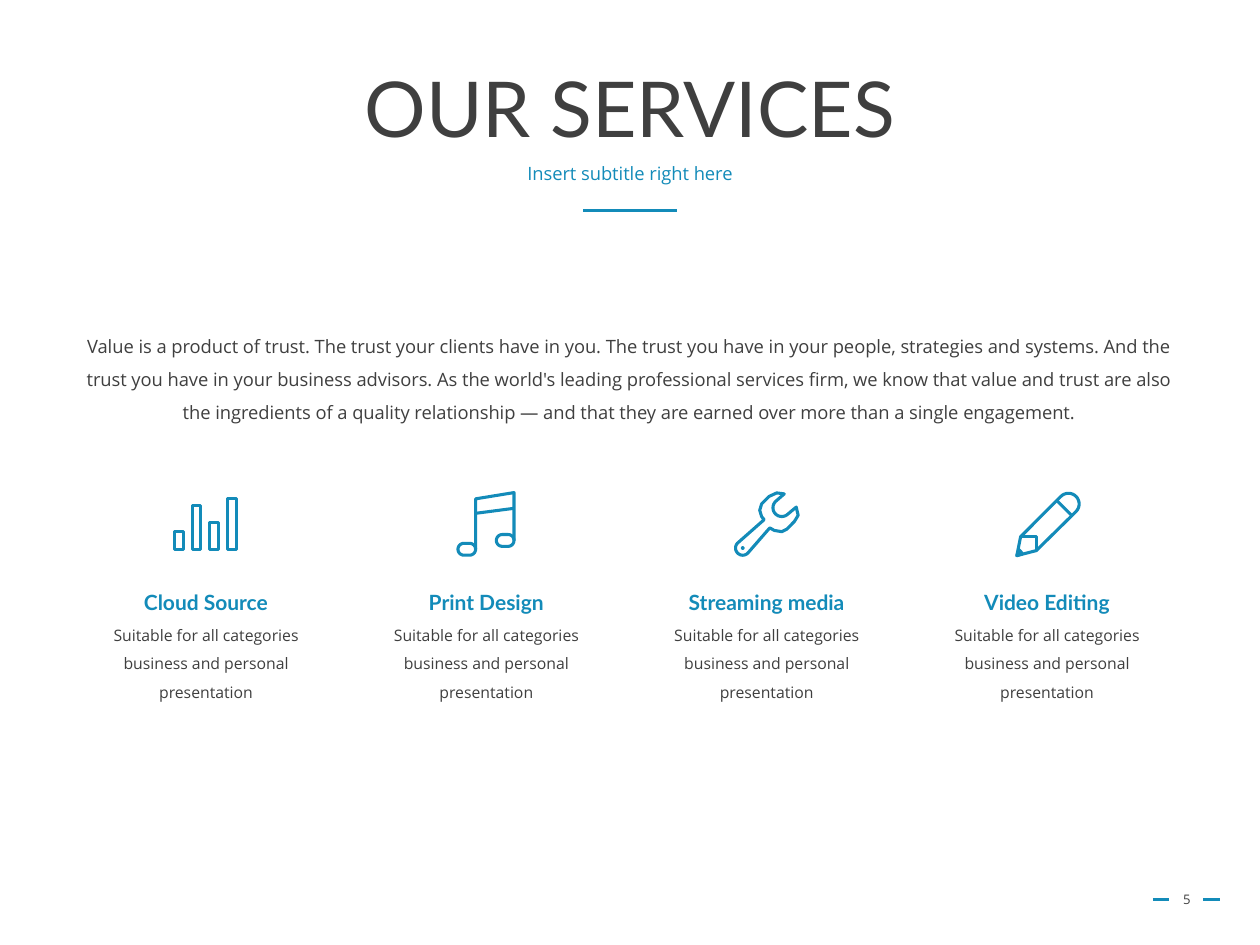
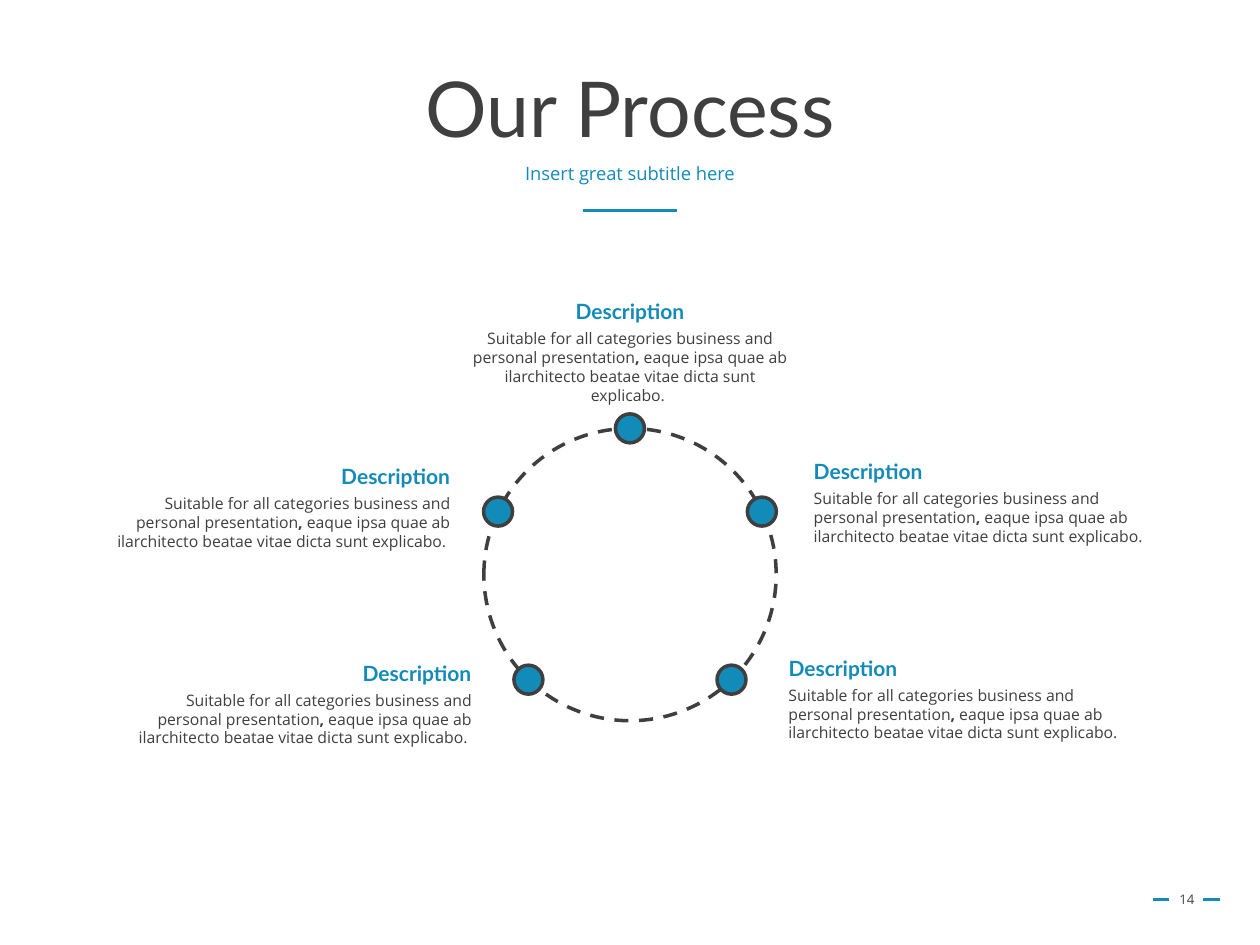
"""Two slides: a row of four services and a five-step process ring."""
import math

from lxml import etree
from pptx import Presentation
from pptx import util as u
from pptx.dml.color import RGBColor
from pptx.enum import dml, shapes, text
from pptx.oxml import ns

Inches, Pt = u.Inches, u.Pt
COLOURS = {"accent": "138BB9", "dark": "3F3F3F"}
HEAD, BODY = "Lato", "Open Sans"
LEFT, CENTER, RIGHT = text.PP_ALIGN.LEFT, text.PP_ALIGN.CENTER, text.PP_ALIGN.RIGHT
SIDE_SHARE = {LEFT: 0, CENTER: 0.5, RIGHT: 1}
SERVICES = ["Cloud Source", "Print Design", "Streaming media", "Video Editing"]
SERVICE_TEXT = "Suitable for all categories business and personal presentation"
STEP_TEXT = [SERVICE_TEXT, ",", " eaque ipsa quae ab ilarchitecto beatae vitae dicta sunt explicabo. "]
INTRO = (
    "Value is a product of trust. The trust your clients have in you. The trust you have in "
    "your people, strategies and systems. And the trust you have in your business advisors. "
    "As the world's leading professional services firm, we know that value and trust are also "
    "the ingredients of a quality relationship \u2014 and that they are earned over more than "
    "a single engagement."
)
DOT_ANGLES = [-90, -25.5, 46, 134, 205.5]
# left, top and width of each description, and its alignment
STEPS = [
    (3.62, 2.32, 2.76, CENTER),
    (6.36, 3.59, 2.83, LEFT),
    (6.16, 5.15, 2.83, LEFT),
    (0.82, 3.63, 2.85, RIGHT),
    (0.99, 5.19, 2.85, RIGHT),
]


def colour(name):
    """Return a named colour."""
    return RGBColor.from_string(COLOURS[name])


def style_text(holder, size, font, shade, bold=False, align=CENTER, spacing=None):
    """Format every paragraph and run of a text holder."""
    holder.text_frame.word_wrap = True
    for para in holder.text_frame.paragraphs:
        para.alignment = align
        if spacing:
            para.line_spacing = spacing
        for span in para.runs:
            span.font.size, span.font.name = Pt(size), font
            span.font.bold, span.font.color.rgb = bold, colour(shade)


def add_text(page, box, words, size, font=BODY, shade="dark", **options):
    """Add a text box at (left, top, width, height) in inches."""
    holder = page.shapes.add_textbox(*map(Inches, box))
    holder.text_frame.text = words
    style_text(holder, size, font, shade, **options)
    return holder


def add_rule(page, left, top, width):
    """Draw a short horizontal accent line."""
    rule = page.shapes.add_connector(
        shapes.MSO_CONNECTOR.STRAIGHT, Inches(left), Inches(top), Inches(left + width), Inches(top))
    rule.line.color.rgb, rule.line.width = colour("accent"), Pt(1.75)
    etree.SubElement(rule._element.spPr, ns.qn("a:effectLst"))


def add_page(deck, title, subtitle, number):
    """Add a slide with its title, subtitle, rules and page number."""
    page = deck.slides.add_slide(deck.slide_layouts[5])
    head = page.shapes.title
    head.left, head.top, head.width, head.height = map(Inches, (0.69, 0.4, 8.62, 0.98))
    head.text_frame.text = title
    head.text_frame.auto_size = text.MSO_AUTO_SIZE.NONE
    head.text_frame.vertical_anchor = text.MSO_ANCHOR.MIDDLE
    style_text(head, 44, HEAD, "dark", spacing=0.9)
    line = add_text(page, (0.69, 1.26, 8.62, 0.4), subtitle, 10.5, shade="accent", spacing=0.9)
    line.text_frame.paragraphs[0].space_before = Pt(10)
    add_rule(page, 4.63, 1.67, 0.74)
    for left in (9.15, 9.55):
        add_rule(page, left, 7.14, 0.13)
    label = add_text(page, (9.2, 6.94, 0.44, 0.4), str(number), 7.5)
    label.text_frame.vertical_anchor = text.MSO_ANCHOR.MIDDLE
    return page


def arc(x, y, radius, start, end):
    """Return points along an arc, with angles in degrees clockwise from the right."""
    angles = [math.radians(start + (end - start) * i / 16) for i in range(17)]
    return [(x + radius * math.cos(a), y + radius * math.sin(a)) for a in angles]


def pill(x, y):
    """Return the outline of a note head."""
    return arc(x + 2.3, y, 4.7, -90, 90) + arc(x - 2.3, y, 4.7, 90, 270)


def bars_icon():
    """Return the strokes of a bar chart as (points, closed)."""
    tops = [32, 11, 25, 6]
    return [([(x, top), (x + 7, top), (x + 7, 46), (x, 46)], True)
            for x, top in zip(range(1, 57, 14), tops)]


def note_icon():
    """Return the strokes of a pair of notes."""
    return [
        ([(17.5, 46), (17.5, 6), (48, 1), (48, 39)], False),
        ([(17.5, 17.5), (48, 13.5)], False),
        (pill(10.5, 46), True),
        (pill(41, 39), True),
    ]


def wrench_icon():
    """Return the strokes of a wrench."""
    outline = arc(38, 13, 7, 45, 225) + [
        (40, 2), (34, 1.2), (28, 4), (22, 10), (20.5, 15), (22, 20), (24, 22.5), (3, 41)]
    outline += arc(7, 45, 5.7, 225, 45) + [
        (28.5, 29), (32, 31), (38, 32), (42, 30), (48, 24), (51, 19), (49.5, 12.5)]
    return [(outline, True), (arc(7, 45, 0.3, 0, 360), True)]


def pencil_icon():
    """Return the strokes of a pencil."""
    return [
        ([(2, 51), (5, 36)] + arc(43, 10, 8.5, 225, 405) + [(17.5, 47)], True),
        ([(34, 7.5), (45, 18.5)], False),
        ([(5, 36), (17.5, 36), (17.5, 47)], False),
        ([(2, 51), (4, 46.5), (6.5, 49.5)], True),
    ]


def add_icon(page, left, top, strokes):
    """Draw strokes, given in hundredths of an inch, as one outline."""
    unit = Inches(0.01)
    builder = None
    for points, closed in strokes:
        spots = [(Inches(left) + x * unit, Inches(top) + y * unit) for x, y in points]
        if builder is None:
            builder = page.shapes.build_freeform(*spots[0])
        else:
            builder.move_to(*spots[0])
        builder.add_line_segments(spots[1:], close=closed)
    icon = builder.convert_to_shape()
    icon.shadow.inherit = False
    icon.fill.background()
    icon.line.color.rgb, icon.line.width = colour("accent"), Pt(1.75)


def add_service(page, middle, top, name, strokes):
    """Place an icon, a heading and a text around a column's middle."""
    width = 2.1
    left = middle - width / 2
    add_icon(page, middle - 0.26, top, strokes)
    add_text(page, (left, top + 0.73, width, 0.3), name, 12, HEAD, "accent", bold=True)
    add_text(page, (left, top + 0.94, width, 0.78), SERVICE_TEXT, 9, spacing=1.5)


def add_circle(page, x, y, radius, filled):
    """Draw a circle round a centre: a filled dot or a dashed ring."""
    circle = page.shapes.add_shape(
        shapes.MSO_SHAPE.OVAL, Inches(x - radius), Inches(y - radius),
        Inches(2 * radius), Inches(2 * radius))
    circle.shadow.inherit = False
    circle.line.color.rgb, circle.line.width = colour("dark"), Pt(2)
    if filled:
        circle.fill.solid()
        circle.fill.fore_color.rgb = colour("accent")
    else:
        circle.fill.background()
        circle.line.dash_style = dml.MSO_LINE.DASH


def add_ring(page, x, y, radius):
    """Draw the dashed ring and its dots."""
    add_circle(page, x, y, radius, False)
    for angle in map(math.radians, DOT_ANGLES):
        add_circle(page, x + radius * math.cos(angle), y + radius * math.sin(angle), 0.115, True)


def add_step(page, left, top, width, align):
    """Place a step's text and the heading over it."""
    holder = add_text(page, (left, top + 0.24, width, 0.56), "", 9)
    para = holder.text_frame.paragraphs[0]
    for words in STEP_TEXT:
        para.add_run().text = words
    style_text(holder, 9, BODY, "dark", align=align)
    para.runs[1].font.bold = True
    head_left = left + (width - 1.71) * SIDE_SHARE[align]
    add_text(page, (head_left, top, 1.71, 0.3), "Description", 12, HEAD, "accent",
             bold=True, align=align)


def services_page(deck):
    """Build the services slide."""
    page = add_page(deck, "OUR SERVICES", "Insert subtitle right here", 5)
    add_text(page, (0.52, 2.52, 8.95, 1.04), INTRO, 10.5, spacing=1.5)
    icons = [bars_icon(), note_icon(), wrench_icon(), pencil_icon()]
    for column, (name, strokes) in enumerate(zip(SERVICES, icons)):
        add_service(page, 1.635 + 2.225 * column, 3.9, name, strokes)


def process_page(deck):
    """Build the process slide."""
    page = add_page(deck, "Our Process", "Insert great subtitle here", 14)
    add_ring(page, 5, 4.56, 1.16)
    for step in STEPS:
        add_step(page, *step)


deck = Presentation()
deck.slide_width, deck.slide_height = Inches(10), Inches(7.5)
services_page(deck)
process_page(deck)
deck.save("out.pptx")
